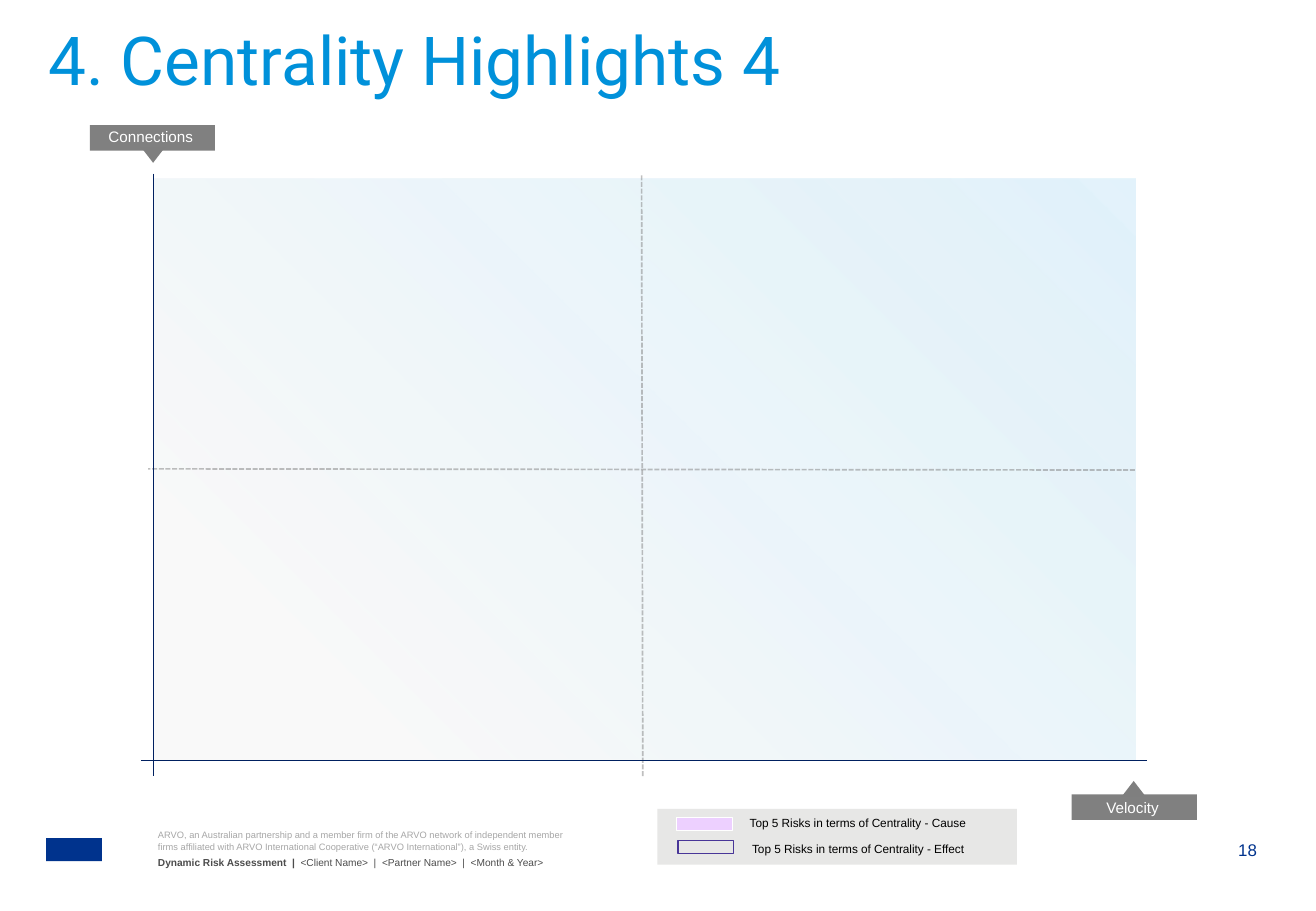
from lxml.etree import SubElement
from pptx import Presentation
from pptx.dml.color import RGBColor
from pptx.enum.dml import MSO_LINE
from pptx.enum.shapes import MSO_CONNECTOR, MSO_SHAPE
from pptx.enum.text import MSO_ANCHOR, PP_ALIGN
from pptx.oxml.ns import qn
from pptx.util import Inches, Pt

COLOURS = {
    "title": "0091DA", "brand": "00338D", "axis": "002060", "divider": "808080",
    "label": "808080", "pointer": "7F7F7F", "white": "FFFFFF", "black": "000000",
    "footer": "4C4C4C", "disclaimer": "A6A6A6", "panel": "CDCECC",
    "cause": "EDD0FF", "effect": "483698", "plot_start": "D9D9D9", "plot_end": "0091DA",
}

# Content
TITLE = "4. Centrality Highlights 4"
PAGE_NUMBER = "18"
FOOTER = [("Dynamic Risk Assessment  |  ", True),
          ("<Client Name>  |  <Partner Name>  |  <Month & Year>", False)]
DISCLAIMER = ("ARVO, an Australian partnership and a member firm of the ARVO network of "
              "independent member firms affiliated with ARVO International Cooperative "
              "(“ARVO International”), a Swiss entity.")
PLOT = (1.26, 1.47, 8.08, 4.79)
PLOT_STOPS = [(0.17, "plot_start", 15), (1, "plot_end", 11)]
# start, end, colour, width, dashed, opacity
DIVIDERS = [((5.29, 6.39), (5.28, 1.43)), ((9.34, 3.87), (1.22, 3.86))]
AXES = [((1.26, 1.43), (1.26, 6.39)), ((1.16, 6.26), (9.44, 6.26))]
# text, label left, label top, pointer left, pointer top, pointer rotation, text top
AXIS_LABELS = [("Velocity", 8.82, 6.54, 9.23, 6.43, 0, 6.57),
               ("Connections", 0.74, 1.03, 1.16, 1.21, 180, 1.05)]
# text, swatch left, swatch top, fill, line, text left, text top
LEGEND = [("Top 5 Risks in terms of Centrality - Cause", 5.57, 6.73, "cause", "white", 6.11, 6.66),
          ("Top 5 Risks in terms of Centrality - Effect", 5.58, 6.92, None, "effect", 6.13, 6.87)]

deck = Presentation()
deck.slide_width, deck.slide_height = Inches(10.83), Inches(7.5)
page = deck.slides.add_slide(deck.slide_layouts[6])


def colour(name):
    return RGBColor.from_string(COLOURS[name])


def set_opacity(parent, percents):
    for element, percent in zip(parent.iter(qn("a:srgbClr")), percents):
        SubElement(element, qn("a:alpha"), val=str(percent * 1000))


def add_text(content, area, size, color, font="Arial", align=PP_ALIGN.LEFT,
             anchor=MSO_ANCHOR.TOP, inset=0, wrap=True):
    box = page.shapes.add_textbox(*map(Inches, area))
    frame = box.text_frame
    frame.word_wrap = wrap
    frame.vertical_anchor = anchor
    frame.margin_left = frame.margin_right = Inches(inset)
    frame.margin_top = frame.margin_bottom = Inches(inset)
    para = frame.paragraphs[0]
    para.alignment = align
    for text, bold in [(content, False)] if isinstance(content, str) else content:
        span = para.add_run()
        span.text = text
        span.font.name, span.font.size, span.font.bold = font, Pt(size), bold
        span.font.color.rgb = colour(color)


def add_block(area, fill=None, line=None, kind=MSO_SHAPE.RECTANGLE):
    block = page.shapes.add_shape(kind, *map(Inches, area))
    block.shadow.inherit = False
    if fill:
        block.fill.solid()
        block.fill.fore_color.rgb = colour(fill)
    else:
        block.fill.background()
    if line:
        block.line.color.rgb = colour(line)
        block.line.width = Pt(0.75)
    else:
        block.line.fill.background()
    return block


def add_line(start, end, color, width, dashed=False):
    line = page.shapes.add_connector(MSO_CONNECTOR.STRAIGHT, *map(Inches, start + end))
    line.line.color.rgb = colour(color)
    line.line.width = Pt(width)
    if dashed:
        line.line.dash_style = MSO_LINE.SQUARE_DOT
        set_opacity(line.element.spPr, [50])
    SubElement(line.element.spPr, qn("a:effectLst"))


# Footer: plain brand mark, page number, texts
add_block((0.38, 6.9, 0.46, 0.19), "brand")
add_text(PAGE_NUMBER, (10.19, 6.91, 0.23, 0.17), 10, "brand", wrap=False)
add_text(FOOTER, (1.3, 7.02, 8.19, 0.16), 6, "footer", anchor=MSO_ANCHOR.MIDDLE)
add_text(DISCLAIMER, (1.3, 6.83, 3.39, 0.25), 5.5, "disclaimer")

# Plot area with a translucent diagonal gradient
plot = add_block(PLOT)
plot.fill.gradient()
plot.fill.gradient_angle = 45
for stop, (position, name, _) in zip(plot.fill.gradient_stops, PLOT_STOPS):
    stop.position = position
    stop.color.rgb = colour(name)
set_opacity(plot.element.spPr, [opacity for _, _, opacity in PLOT_STOPS])

# Quadrant dividers, title, axes
for start, end in DIVIDERS:
    add_line(start, end, "divider", 1, dashed=True)
add_text(TITLE, (0.4, 0.11, 10.03, 0.74), 40, "title", font="Roboto", anchor=MSO_ANCHOR.MIDDLE)
for start, end in AXES:
    add_line(start, end, "axis", 0.5)

# Axis labels with pointers
for text, left, top, tip_left, tip_top, rotation, text_top in AXIS_LABELS:
    add_block((left, top, 1.03, 0.21), "label")
    pointer = add_block((tip_left, tip_top, 0.2, 0.13), "pointer",
                        kind=MSO_SHAPE.ISOSCELES_TRIANGLE)
    pointer.rotation = rotation
    add_text(text, (left + 0.09, text_top, 0.82, 0.15), 9, "white", align=PP_ALIGN.CENTER)

# Legend
panel = add_block((5.41, 6.66, 2.96, 0.46), "panel")
set_opacity(panel.element.spPr, [48])
for text, left, top, fill, line, text_left, text_top in LEGEND:
    add_block((left, top, 0.46, 0.11), fill, line)
    add_text(text, (text_left, text_top, 2.11, 0.17), 7, "black", inset=0.06)

deck.save("out.pptx")
